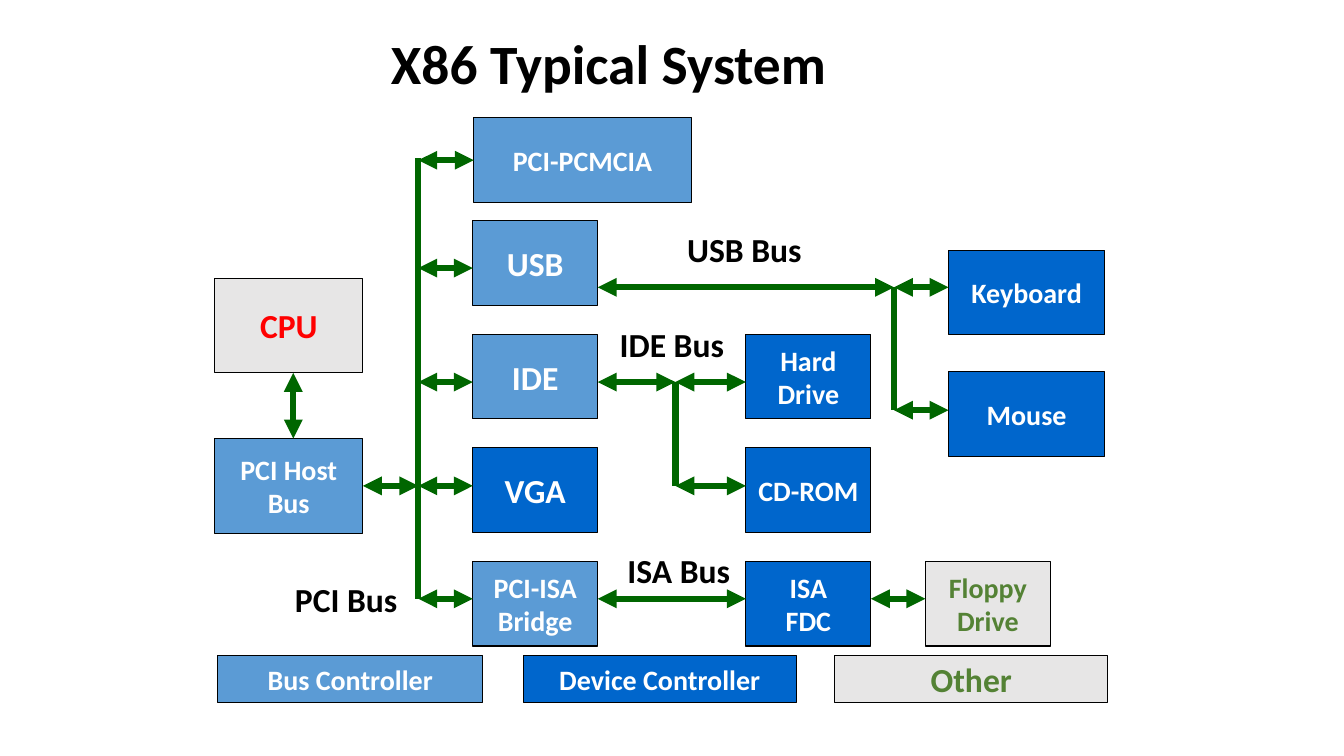
"""Build a block diagram of a typical X86 system and its buses."""
from lxml.etree import SubElement
from pptx import Presentation
from pptx.dml.color import RGBColor
from pptx.enum.shapes import MSO_CONNECTOR as CONNECTOR, MSO_SHAPE as SHAPE
from pptx.enum.text import MSO_ANCHOR as ANCHOR, MSO_AUTO_SIZE as AUTO_SIZE, PP_ALIGN as ALIGN
from pptx.oxml.ns import qn
from pptx.util import Pt

COLORS = {
    "bus": "5B9BD5", "device": "0066CC", "other": "E7E6E6", "arrow": "006600",
    "black": "000000", "white": "FFFFFF", "red": "FF0000", "green": "548235",
}


def rgb(name):
    return RGBColor.from_string(COLORS[name])


def write(shape, text, size, color, align=ALIGN.CENTER, anchor=ANCHOR.MIDDLE, wrap=False):
    frame = shape.text_frame
    frame.text = text
    frame.word_wrap = wrap
    frame.vertical_anchor = anchor
    font_format = {"name": "Calibri", "size": Pt(size), "bold": True}
    for paragraph in frame.paragraphs:
        paragraph.alignment = align
        for name, value in font_format.items():
            setattr(paragraph.font, name, value)
        paragraph.font.color.rgb = rgb(color)


presentation = Presentation()
presentation.slide_width, presentation.slide_height = Pt(960), Pt(540)
slide = presentation.slides.add_slide(presentation.slide_layouts[6])

title = slide.shapes.add_textbox(Pt(272.2), Pt(22.3), Pt(648), Pt(24.5))
write(title, "X86 Typical System", 39.6, "black", ALIGN.LEFT, ANCHOR.TOP, True)
title.text_frame.paragraphs[0].line_spacing = 0.9

usb_row, ide_row, vga_row, isa_row = [157.7 + 81.1 * row for row in range(4)]
controller_x, device_x, peripheral_x = 337.7, 532.8, 677.5
unit_width, unit_height = 89.3, 60.5
unit = (unit_width, unit_height)
peripheral = (111.6, unit_height)
processor = (105.8, 67.7)

boxes = [
    ("CPU", 153.4, 198.7, processor, "other", 24, "red"),
    ("PCI Host\nBus", 153.4, 313.2, processor, "bus", 20, "white"),
    ("PCI-PCMCIA", 338.4, 84.2, (155.5, unit_height), "bus", 20, "white"),
    ("USB", controller_x, usb_row, unit, "bus", 24, "white"),
    ("IDE", controller_x, ide_row, unit, "bus", 24, "white"),
    ("VGA", controller_x, vga_row, unit, "device", 24, "white"),
    ("PCI-ISA\nBridge", controller_x, isa_row, unit, "bus", 20, "white"),
    ("Hard\nDrive", device_x, ide_row, unit, "device", 20, "white"),
    ("CD-ROM", device_x, vga_row, unit, "device", 20, "white"),
    ("ISA\nFDC", device_x, isa_row, unit, "device", 20, "white"),
    ("Floppy\nDrive", 661, isa_row, unit, "other", 20, "green"),
    ("Keyboard", peripheral_x, 178.6, peripheral, "device", 20, "white"),
    ("Mouse", peripheral_x, 265.7, peripheral, "device", 20, "white"),
    ("Bus Controller", 155.5, 468, (189.4, 33.8), "bus", 20, "white"),
    ("Device Controller", 373.7, 468, (195.1, 33.8), "device", 20, "white"),
    ("Other", 596.2, 468, (195.1, 33.8), "other", 24, "green"),
]
placed = {}
for text, left, top, (width, height), fill, size, color in boxes:
    box = slide.shapes.add_shape(SHAPE.RECTANGLE, Pt(left), Pt(top), Pt(width), Pt(height))
    box.shadow.inherit = False
    box.fill.solid()
    box.fill.fore_color.rgb = rgb(fill)
    box.line.color.rgb = rgb("black")
    box.line.width = Pt(0.75)
    write(box, text, size, color)
    placed[text] = box

pci_x, ide_x, usb_x = 298.8, 482.4, 638.6
pcmcia_y, usb_y, ide_y, vga_y, isa_y = 114.45, 191.5, 272.9, 347.05, 427.7
keyboard_y, mouse_y = 205.2, 293
controller_right = controller_x + unit_width
device_right = device_x + unit_width

trunks = [
    (pci_x, pcmcia_y - 1.4, pci_x, isa_y),
    (ide_x, ide_y, ide_x, vga_y),
    (usb_x, keyboard_y, usb_x, mouse_y),
]
arrows = [
    (209.5, 266.4, 209.5, 313.2),
    (259.2, vga_y, pci_x, vga_y),
    (pci_x, pcmcia_y, 338.4, pcmcia_y),
    *[(pci_x, y, controller_x, y) for y in (usb_y, ide_y, vga_y, isa_y)],
    (controller_right, keyboard_y, usb_x, keyboard_y),
    *[(usb_x, y, peripheral_x, y) for y in (keyboard_y, mouse_y)],
    (controller_right, ide_y, ide_x, ide_y),
    *[(ide_x, y, device_x, y) for y in (ide_y, vga_y)],
    (controller_right, isa_y, device_x, isa_y),
    (device_right, isa_y, 661, isa_y),
]
drawn = {}
for ends in trunks + arrows:
    connector = slide.shapes.add_connector(CONNECTOR.STRAIGHT, *[Pt(value) for value in ends])
    connector.line.color.rgb = rgb("arrow")
    connector.line.width = Pt(4.5)
    if ends in arrows:
        for tag in ("a:headEnd", "a:tailEnd"):
            SubElement(connector.line._get_or_add_ln(), qn(tag), type="triangle")
    SubElement(connector._element.spPr, qn("a:effectLst"))
    drawn[ends] = connector
drawn[arrows[1]].begin_connect(placed["PCI Host\nBus"], 3)
drawn[arrows[2]].end_connect(placed["PCI-PCMCIA"], 1)

labels = [
    ("PCI Bus", 203, 409.7, 88.6),
    ("USB Bus", 483.1, 159.8, 97.2),
    ("IDE Bus", 434.9, 227.5, 90),
    ("ISA Bus", 440.6, 389.5, 88.6),
]
for text, left, top, width in labels:
    label = slide.shapes.add_textbox(Pt(left), Pt(top), Pt(width), Pt(36))
    write(label, text, 24, "black")
    label.text_frame.auto_size = AUTO_SIZE.SHAPE_TO_FIT_TEXT

presentation.save("out.pptx")
